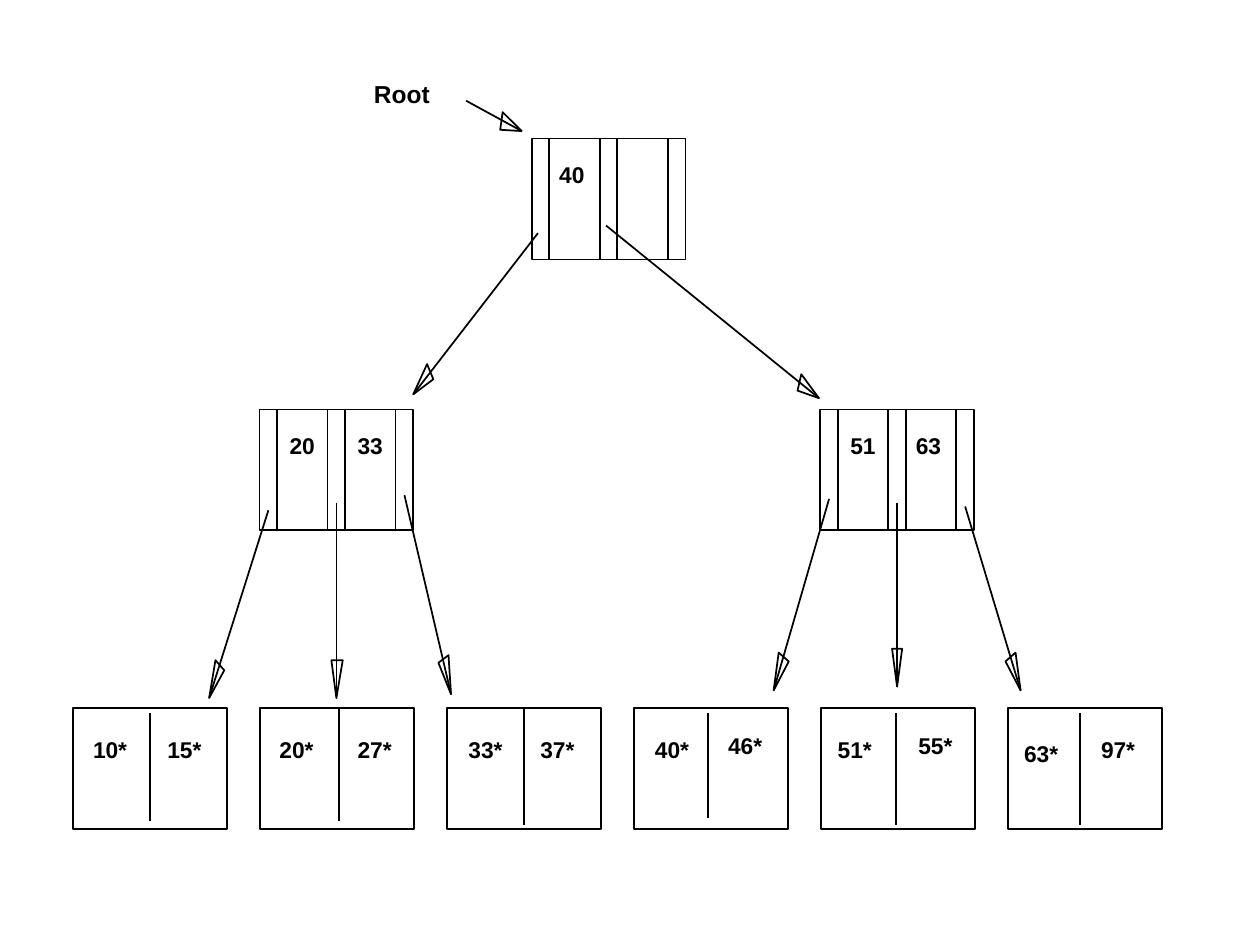
import pptx
import pptx.dml.color
import pptx.enum.shapes
import pptx.enum.text
import pptx.util
from lxml import etree
from pptx.util import Inches

BLACK = "000000"
NODE_WIDTH = 1.22
NODE_HEIGHT = 0.96
DIVIDER_OFFSETS = (0.14, 0.54, 0.68, 1.08)
LEAF_LEFT, LEAF_TOP = 0.58, 5.62
LEAF_PITCH = (8.0 - LEAF_LEFT) / 5

INDEX_NODES = [
    (2.06, 3.25, [("20", 2.2), ("33", 2.74)]),
    (6.51, 3.25, [("51", 6.65), ("63", 7.17)]),
    (4.22, 1.1, [("40", 4.34)]),
]

LEAVES = [
    ((1.19, 5.66, 6.52), [("10*", 0.64, 5.79), ("15*", 1.23, 5.79)]),
    ((2.69, 5.62, 6.52), [("20*", 2.12, 5.79), ("27*", 2.74, 5.79)]),
    ((4.16, 5.62, 6.55), [("33*", 3.62, 5.79), ("37*", 4.19, 5.79)]),
    ((5.62, 5.66, 6.49), [("40*", 5.1, 5.79), ("46*", 5.68, 5.76)]),
    ((7.11, 5.66, 6.55), [("51*", 6.55, 5.79), ("55*", 7.19, 5.76)]),
    ((8.57, 5.66, 6.55), [("63*", 8.03, 5.82), ("97*", 8.64, 5.79)]),
]

ARROWS = [
    ((4.27, 1.85), (3.28, 3.13), (3.44, 3.01), (3.39, 2.89)),
    ((4.81, 1.79), (6.5, 3.16), (6.36, 2.97), (6.33, 3.1)),
    ((2.13, 4.05), (1.66, 5.54), (1.78, 5.32), (1.71, 5.24)),
    ((2.67, 3.99), (2.67, 5.54), (2.72, 5.24), (2.63, 5.24)),
    ((3.21, 3.93), (3.58, 5.51), (3.56, 5.2), (3.48, 5.26)),
    ((6.58, 3.96), (6.14, 5.48), (6.26, 5.25), (6.18, 5.18)),
    ((7.12, 3.99), (7.12, 5.45), (7.16, 5.15), (7.08, 5.15)),
    ((7.66, 4.02), (8.1, 5.48), (8.06, 5.18), (7.98, 5.25)),
    ((3.7, 0.8), (4.14, 1.04), (3.99, 0.89), (3.97, 1.03)),
]


def color(value):
    return pptx.dml.color.RGBColor.from_string(value)


def set_line(shape):
    shape.line.color.rgb = color(BLACK)
    shape.line.width = pptx.util.Pt(1)


def set_outline(shape):
    shape.shadow.inherit = False
    shape.fill.background()
    set_line(shape)


def add_box(page, left, top):
    box = page.shapes.add_shape(
        pptx.enum.shapes.MSO_SHAPE.RECTANGLE,
        Inches(left), Inches(top), Inches(NODE_WIDTH), Inches(NODE_HEIGHT))
    set_outline(box)


def add_line(page, start, end):
    line = page.shapes.add_connector(
        pptx.enum.shapes.MSO_CONNECTOR.STRAIGHT,
        *[Inches(length) for length in (*start, *end)])
    set_line(line)
    etree.SubElement(line.element.spPr, pptx.oxml.ns.qn("a:effectLst"))


def add_arrow(page, start, tip, *barbs):
    add_line(page, start, tip)
    points = [(Inches(x), Inches(y)) for x, y in (tip, *barbs)]
    builder = page.shapes.build_freeform(*points[0])
    builder.add_line_segments(points[1:], close=True)
    set_outline(builder.convert_to_shape())


def add_label(page, text, left, top, width, height=0.31, size=13):
    box = page.shapes.add_textbox(
        Inches(left), Inches(top), Inches(width), Inches(height))
    frame = box.text_frame
    frame.word_wrap = False
    frame.auto_size = pptx.enum.text.MSO_AUTO_SIZE.SHAPE_TO_FIT_TEXT
    para = frame.paragraphs[0]
    para.text = text
    para.font.name = "Arial"
    para.font.size = pptx.util.Pt(size)
    para.font.bold = True
    para.font.color.rgb = color(BLACK)


def add_index_node(page, left, top, keys):
    add_box(page, left, top)
    for offset in DIVIDER_OFFSETS:
        x = left + offset
        add_line(page, (x, top), (x, top + NODE_HEIGHT))
    for text, key_left in keys:
        add_label(page, text, key_left, top + 0.13, 0.4)


def add_leaf(page, left, divider, entries):
    add_box(page, left, LEAF_TOP)
    x, top, bottom = divider
    add_line(page, (x, top), (x, bottom))
    for text, entry_left, entry_top in entries:
        add_label(page, text, entry_left, entry_top, 0.47)


def main():
    deck = pptx.Presentation()
    deck.slide_width = Inches(10)
    deck.slide_height = Inches(7.5)
    page = deck.slides.add_slide(deck.slide_layouts[6])
    for index, (divider, entries) in enumerate(LEAVES):
        add_leaf(page, LEAF_LEFT + index * LEAF_PITCH, divider, entries)
    for node in INDEX_NODES:
        add_index_node(page, *node)
    for arrow in ARROWS:
        add_arrow(page, *arrow)
    add_label(page, "Root", 2.87, 0.58, 0.7, 0.33, 14)
    deck.save("out.pptx")


if __name__ == "__main__":
    main()
